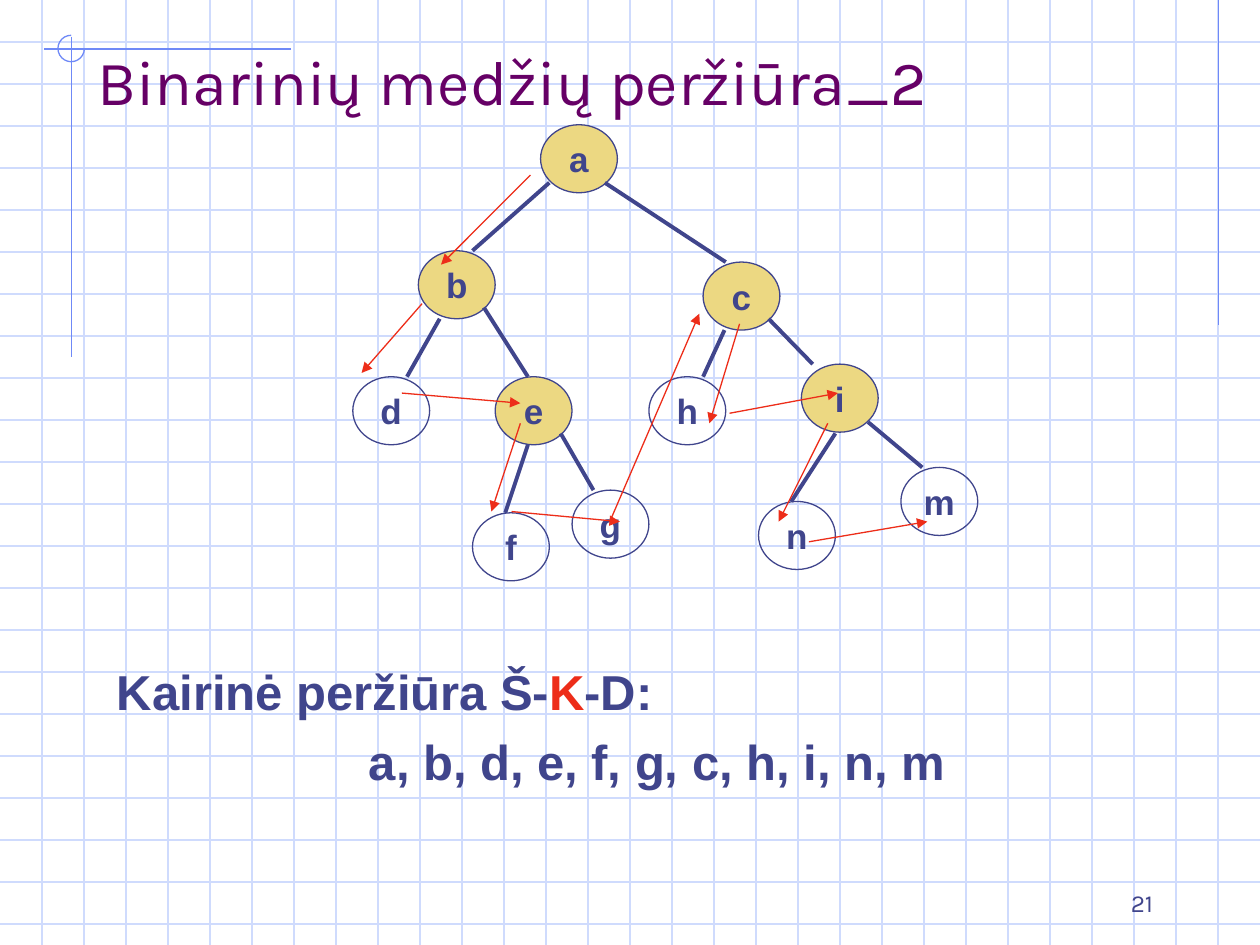
from pptx import Presentation
from pptx.dml.color import RGBColor
from pptx.enum.shapes import MSO_CONNECTOR as Connector, MSO_SHAPE as Shape
from pptx.enum.text import MSO_ANCHOR as Anchor, MSO_AUTO_SIZE as AutoSize, PP_ALIGN as Align
from pptx.oxml.ns import qn
from pptx.util import Inches, Pt
from lxml.etree import SubElement

COLORS = {
    "grid": "CFDBFD",
    "trim": "6F89F7",
    "ink": "40458C",
    "title": "660066",
    "inner": "ECD882",
    "visit": "ED2D19",
}
NODE_WIDTH, NODE_HEIGHT = 0.61, 0.54
NODES = {
    "a": (4.29, 0.99), "b": (3.32, 1.99), "c": (5.58, 2.08), "d": (2.8, 2.99),
    "e": (3.93, 2.99), "g": (4.54, 3.89), "f": (3.75, 4.07), "h": (5.15, 2.99),
    "i": (6.36, 2.89), "n": (6.02, 3.98), "m": (7.15, 3.71),
}
INNER_NODES = "abcei"
EDGES = [
    ((4.36, 1.45), (3.75, 1.99)), ((3.49, 2.53), (3.23, 2.99)),
    ((4.8, 1.45), (5.76, 2.08)), ((4.19, 3.53), (4.01, 4.07)),
    ((3.84, 2.44), (4.19, 2.99)), ((6.63, 3.44), (6.28, 3.98)),
    ((5.75, 2.62), (5.58, 2.99)), ((4.45, 3.44), (4.71, 3.89)),
    ((6.1, 2.53), (6.45, 2.89)), ((6.89, 3.35), (7.32, 3.71)),
]
VISITS = [
    ((4.21, 1.39), (3.5, 2.1)), ((3.35, 2.41), (2.87, 2.96)),
    ((3.19, 3.12), (4.13, 3.2)), ((4.13, 3.36), (3.9, 4.06)),
    ((4.06, 4.06), (4.92, 4.14)), ((4.84, 4.14), (5.55, 2.49)),
    ((5.87, 2.57), (5.63, 3.36)), ((5.79, 3.28), (6.65, 3.12)),
    ((6.57, 3.36), (6.18, 4.14)), ((6.42, 4.3), (7.36, 4.14)),
]


def rgb(name):
    return RGBColor.from_string(COLORS[name])


class TreeSlide:
    heading_font = "Karla"
    body_font = "Arial"

    def __init__(self, slide):
        self.slide = slide
        self.shapes = slide.shapes

    def style(self, run, size, color="ink", font=body_font, bold=False):
        run.font.size = Pt(size)
        run.font.name = font
        run.font.bold = bold
        run.font.color.rgb = rgb(color)

    def line(self, start, end, color, width=0.75, arrow=False):
        connector = self.shapes.add_connector(
            Connector.STRAIGHT, *(Inches(value) for value in (*start, *end)))
        connector.line.color.rgb = rgb(color)
        connector.line.width = Pt(width)
        if arrow:
            SubElement(connector.line._get_or_add_ln(), qn("a:tailEnd"), type="triangle")
        SubElement(connector._element.spPr, qn("a:effectLst"))

    def outline(self, kind, left, top, width, height, color):
        shape = self.shapes.add_shape(
            kind, Inches(left), Inches(top), Inches(width), Inches(height))
        shape.shadow.inherit = False
        shape.fill.background()
        shape.line.color.rgb = rgb(color)
        shape.line.width = Pt(0.75)
        return shape

    def corner_arc(self, left, top, size):
        arc = self.outline(Shape.ARC, left, top, size, size, "trim")
        arc.adjustments[0] = 0
        arc.adjustments[1] = 162

    def node(self, label, left, top, inner):
        circle = self.outline(Shape.OVAL, left, top, NODE_WIDTH, NODE_HEIGHT, "ink")
        if inner:
            circle.fill.solid()
            circle.fill.fore_color.rgb = rgb("inner")
        frame = circle.text_frame
        frame.text = label
        frame.word_wrap = False
        frame.vertical_anchor = Anchor.MIDDLE
        frame.paragraphs[0].alignment = Align.CENTER
        self.style(frame.paragraphs[0].runs[0], 20, bold=True)

    def title(self, text, left, top, width, height):
        heading = self.shapes.title
        self.shapes._spTree.append(heading._element)
        heading.left, heading.top = Inches(left), Inches(top)
        heading.width, heading.height = Inches(width), Inches(height)
        frame = heading.text_frame
        frame.text = text
        frame.auto_size = AutoSize.NONE
        frame.vertical_anchor = Anchor.BOTTOM
        frame.paragraphs[0].alignment = Align.LEFT
        self.style(frame.paragraphs[0].runs[0], 36, "title", self.heading_font)

    def text_box(self, left, top, width, height):
        box = self.shapes.add_textbox(
            Inches(left), Inches(top), Inches(width), Inches(height))
        box.text_frame.word_wrap = True
        return box.text_frame

    def page_number(self, number, left, top, width, height):
        frame = self.text_box(left, top, width, height)
        frame.text = number
        frame.vertical_anchor = Anchor.BOTTOM
        frame.paragraphs[0].alignment = Align.RIGHT
        self.style(frame.paragraphs[0].runs[0], 14, font=self.heading_font)

    def traversal(self, name_parts, order, left, top, width, height):
        frame = self.text_box(left, top, width, height)
        name = frame.paragraphs[0]
        for part, color in name_parts:
            run = name.add_run()
            run.text = part
            self.style(run, 28, color, bold=True)
        visited = frame.add_paragraph()
        visited.text = order
        visited.space_before = Pt(6.5)
        visited._p.get_or_add_pPr().set("marL", str(Inches(2)))
        self.style(visited.runs[0], 28, bold=True)


def main():
    deck = Presentation()
    deck.slide_width, deck.slide_height = Inches(10), Inches(7.5)
    tree = TreeSlide(deck.slides.add_slide(deck.slide_layouts[5]))

    for row in range(1, 23):
        tree.line((0, row / 3), (10, row / 3), "grid")
    for column in range(1, 30):
        tree.line((column / 3, 0), (column / 3, 7.5), "grid")
    tree.line((9.67, 0), (9.67, 2.58), "trim")
    tree.line((2.31, 0.39), (0.35, 0.39), "trim")
    tree.line((0.57, 0.29), (0.57, 2.83), "trim")
    tree.corner_arc(0.46, 0.28, 0.21)

    tree.page_number("21", 7.17, 6.83, 2.08, 0.5)
    tree.title("Binarinių medžių peržiūra_2", 0.67, 0.33, 8.5, 0.66)
    for label, (left, top) in NODES.items():
        tree.node(label, left, top, label in INNER_NODES)
    for start, end in EDGES:
        tree.line(start, end, "ink", 2.25)
    tree.traversal(
        [("Kairinė peržiūra Š-", "ink"), ("K", "visit"), ("-D:", "ink")],
        "a, b, d, e, f, g, c, h, i, n, m", 0.83, 5.2, 8.03, 1.11)
    for start, end in VISITS:
        tree.line(start, end, "visit", arrow=True)

    deck.save("out.pptx")


if __name__ == "__main__":
    main()
